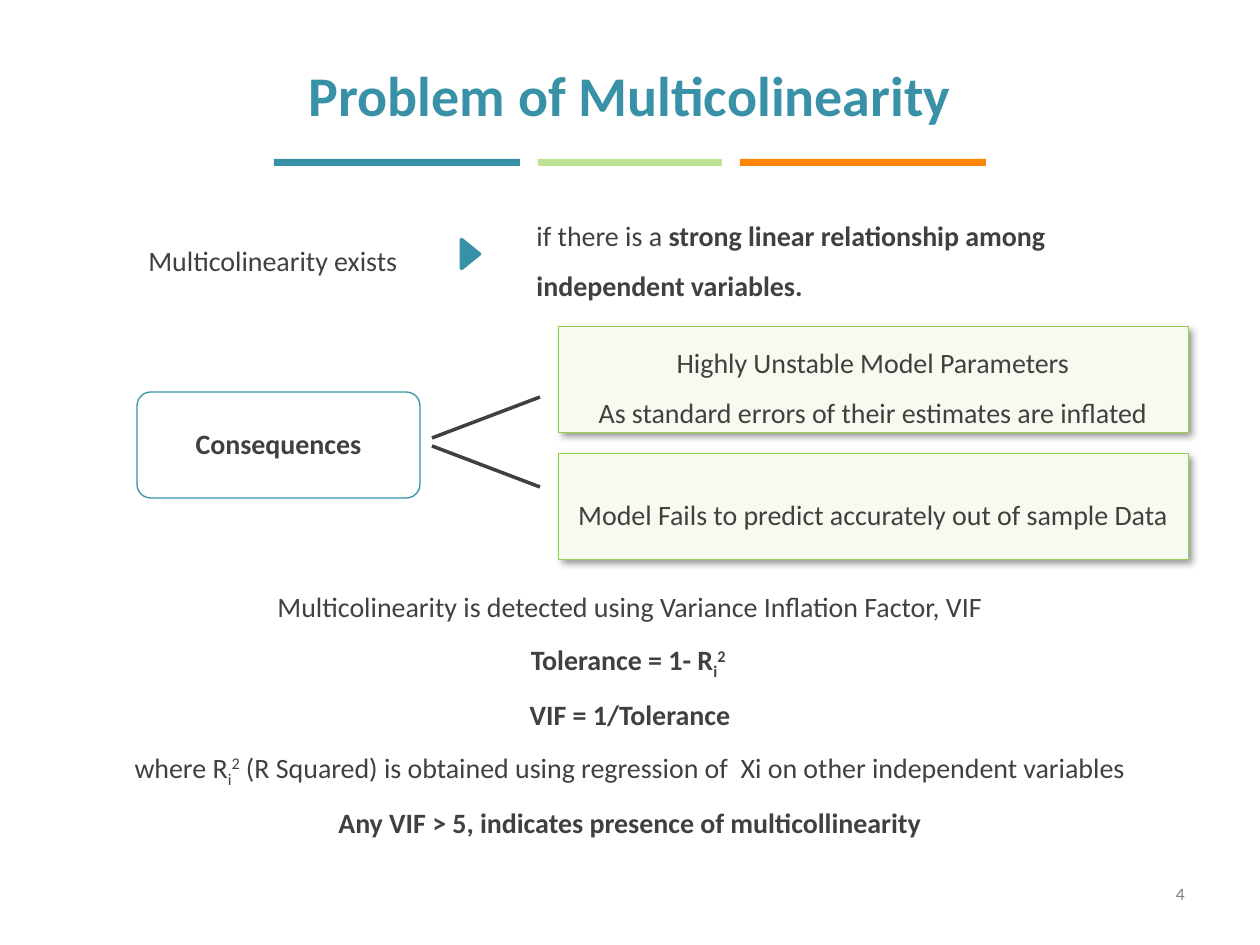
from dataclasses import dataclass

from lxml.etree import SubElement
from pptx import Presentation
from pptx.dml.color import RGBColor
from pptx.enum.shapes import MSO_CONNECTOR as Connector, MSO_SHAPE as Shape
from pptx.enum.text import MSO_ANCHOR as Anchor, PP_ALIGN as Align
from pptx.oxml.ns import qn
from pptx.util import Emu, Pt


@dataclass(frozen=True)
class Theme:
    font: str = "Calibri"
    teal: str = "3891A7"
    lime: str = "BEE396"
    orange: str = "FF850A"
    ink: str = "404040"
    grey: str = "808080"
    white: str = "FFFFFF"
    pale: str = "F7FBEF"
    green: str = "92D050"
    title_size: int = 32
    body_size: int = 16
    number_size: int = 10


THEME = Theme()
EMU_PER_PX = 914400 / 126
SUB, SUPER = -25000, 30000


def px(length):
    return Emu(round(length * EMU_PER_PX))


def set_attributes(target, values):
    for name, value in values.items():
        setattr(target, name, value)


def write(shape, paragraphs, size=THEME.body_size, color=THEME.ink,
          align=Align.CENTER, spacing=1.5, anchor=Anchor.MIDDLE):
    frame = shape.text_frame
    set_attributes(frame, {"word_wrap": True, "vertical_anchor": anchor})
    for index, runs in enumerate(paragraphs):
        paragraph = frame.add_paragraph() if index else frame.paragraphs[0]
        set_attributes(paragraph, {"alignment": align, "line_spacing": spacing})
        for text, bold, baseline in runs:
            for line_index, line in enumerate(text.split("\n")):
                if line_index:
                    paragraph.add_line_break()
                    SubElement(paragraph._p[-1], qn("a:rPr"), sz=str(size * 100))
                run = paragraph.add_run()
                run.text = line
                set_attributes(run.font, {"name": THEME.font, "size": Pt(size), "bold": bold})
                run.font.color.rgb = RGBColor.from_string(color)
                if baseline:
                    run._r.get_or_add_rPr().set("baseline", str(baseline))


def plain(text):
    return text, False, 0


def strong(text):
    return text, True, 0


def add_text(slide, box, paragraphs, **style):
    shape = slide.shapes.add_textbox(*map(px, box))
    write(shape, paragraphs, **style)


def add_block(slide, kind, box, fill=None, line=None, weight=0.75):
    shape = slide.shapes.add_shape(kind, *map(px, box))
    shape.shadow.inherit = False
    for part, color in ((shape.fill, fill), (shape.line.fill, line)):
        if color:
            part.solid()
            part.fore_color.rgb = RGBColor.from_string(color)
        else:
            part.background()
    if line:
        shape.line.width = Pt(weight)
    return shape


def add_shadow(shape):
    effects = shape._element.spPr.find(qn("a:effectLst"))
    shadow = SubElement(effects, qn("a:outerShdw"), blurRad=str(Pt(4)), dist=str(Pt(3)),
                        dir="2700000", algn="tl", rotWithShape="0")
    color = SubElement(shadow, qn("a:srgbClr"), val="000000")
    SubElement(color, qn("a:alpha"), val="40000")


def add_branch(slide, start, end):
    line = slide.shapes.add_connector(Connector.STRAIGHT, *map(px, (*start, *end)))
    line.line.color.rgb = RGBColor.from_string(THEME.ink)
    line.line.width = Pt(2)
    SubElement(line._element.spPr, qn("a:effectLst"))


def header(slide, left, top, width, height):
    add_text(slide, (left, top, width, height), [[strong("Problem of Multicolinearity")]],
             size=THEME.title_size, color=THEME.teal, spacing=1)
    bars = ((246, THEME.teal), (184, THEME.lime), (246, THEME.orange))
    gap = 18
    bar_left = left + (width - sum(bar for bar, _ in bars) - gap * 2) // 2
    for bar_width, color in bars:
        add_block(slide, Shape.RECTANGLE, (bar_left, top + 121, bar_width, 7), fill=color)
        bar_left += bar_width + gap


def definition(slide, left, top, width, height):
    condition = add_block(slide, Shape.ROUNDED_RECTANGLE, (left + 382, top, width - 382, height))
    write(condition, [[plain("if there is a "),
                       strong("strong linear relationship among  independent variables.")]],
          align=Align.LEFT)
    add_text(slide, (left, top + 34, 368, 58), [[plain("Multicolinearity exists")]],
             align=Align.LEFT)
    pointer = add_block(slide, Shape.ISOSCELES_TRIANGLE, (left + 320, top + 56, 29, 18),
                        THEME.teal, THEME.teal, 2)
    pointer.rotation = 90


def consequences(slide, left, top, width, height):
    card_height = 106
    middle = top + height // 2
    cause = add_block(slide, Shape.ROUNDED_RECTANGLE,
                      (left, top + 66, 283, card_height), THEME.white, THEME.teal)
    cause.adjustments[0] = 0.13
    write(cause, [[strong("Consequences")]], spacing=0.9)
    effects = ("Highly Unstable Model Parameters\nAs standard errors of their estimates are inflated",
               "Model Fails to predict accurately out of sample Data")
    for index, text in enumerate(effects):
        side = 2 * index - 1
        add_branch(slide, (left + 295, middle + side * 4), (left + 403, middle + side * 45))
        card = add_block(slide, Shape.RECTANGLE,
                         (left + 421, top + index * (height - card_height),
                          width - 421, card_height), THEME.pale, THEME.green, 0.25)
        add_shadow(card)
        write(card, [[plain(text)]])


def detection(slide, left, top, width, height):
    add_text(slide, (left, top, width, height), [
        [plain("Multicolinearity is detected using Variance Inflation Factor, VIF")],
        [strong("Tolerance = 1- R"), ("i", True, SUB), ("2 ", True, SUPER)],
        [strong("VIF = 1/Tolerance")],
        [plain("where R"), ("i", False, SUB), ("2", False, SUPER),
         plain(" (R Squared) is obtained using regression of  Xi on other independent variables")],
        [strong("Any VIF > 5, indicates presence of multicollinearity")],
    ], anchor=Anchor.TOP)


def page_number(slide, left, top, width, height):
    add_text(slide, (left, top, width, height), [[plain("4")]], size=THEME.number_size,
             color=THEME.grey, align=Align.RIGHT, spacing=1)


def main():
    presentation = Presentation()
    set_attributes(presentation, {"slide_width": px(1260), "slide_height": px(945)})
    slide = presentation.slides.add_slide(presentation.slide_layouts[6])
    header(slide, 63, 38, 1134, 112)
    definition(slide, 136, 189, 1030, 126)
    consequences(slide, 137, 326, 1051, 233)
    detection(slide, 72, 567, 1116, 261)
    page_number(slide, 903, 861, 294, 66)
    presentation.save("out.pptx")


if __name__ == "__main__":
    main()
